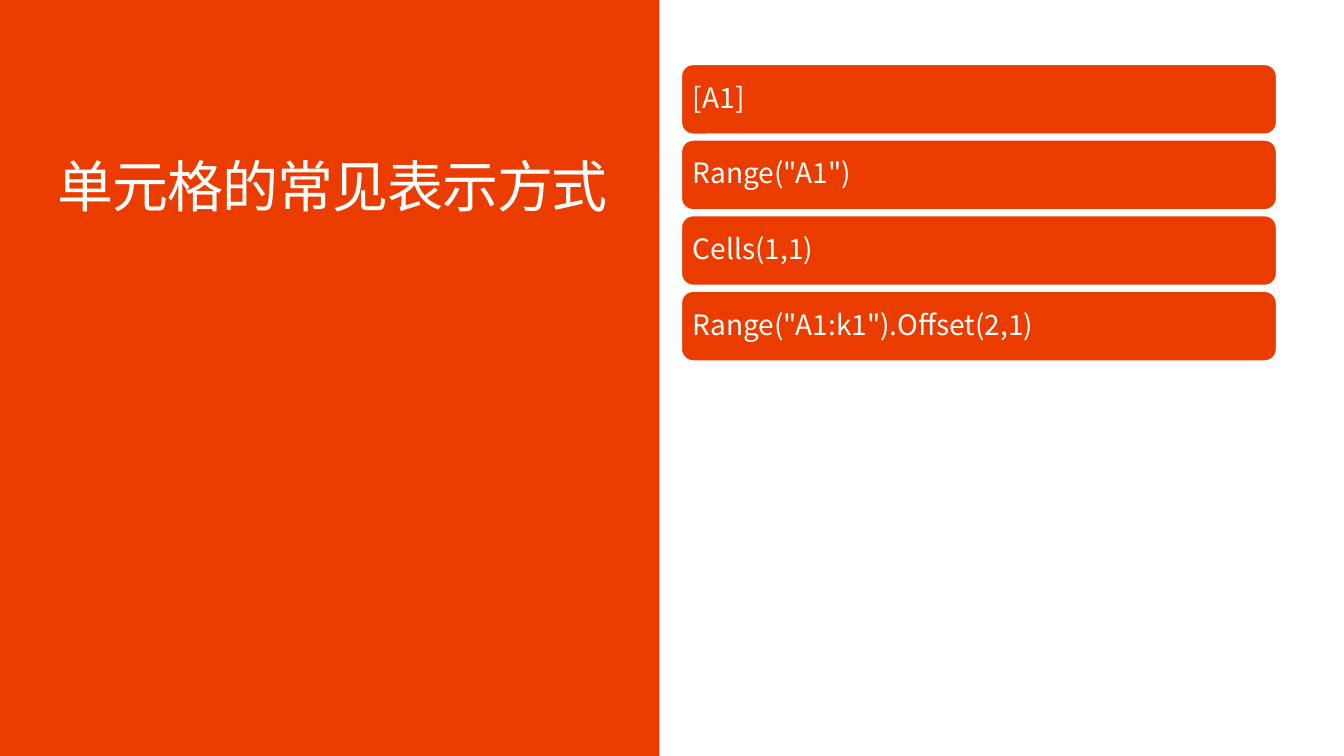
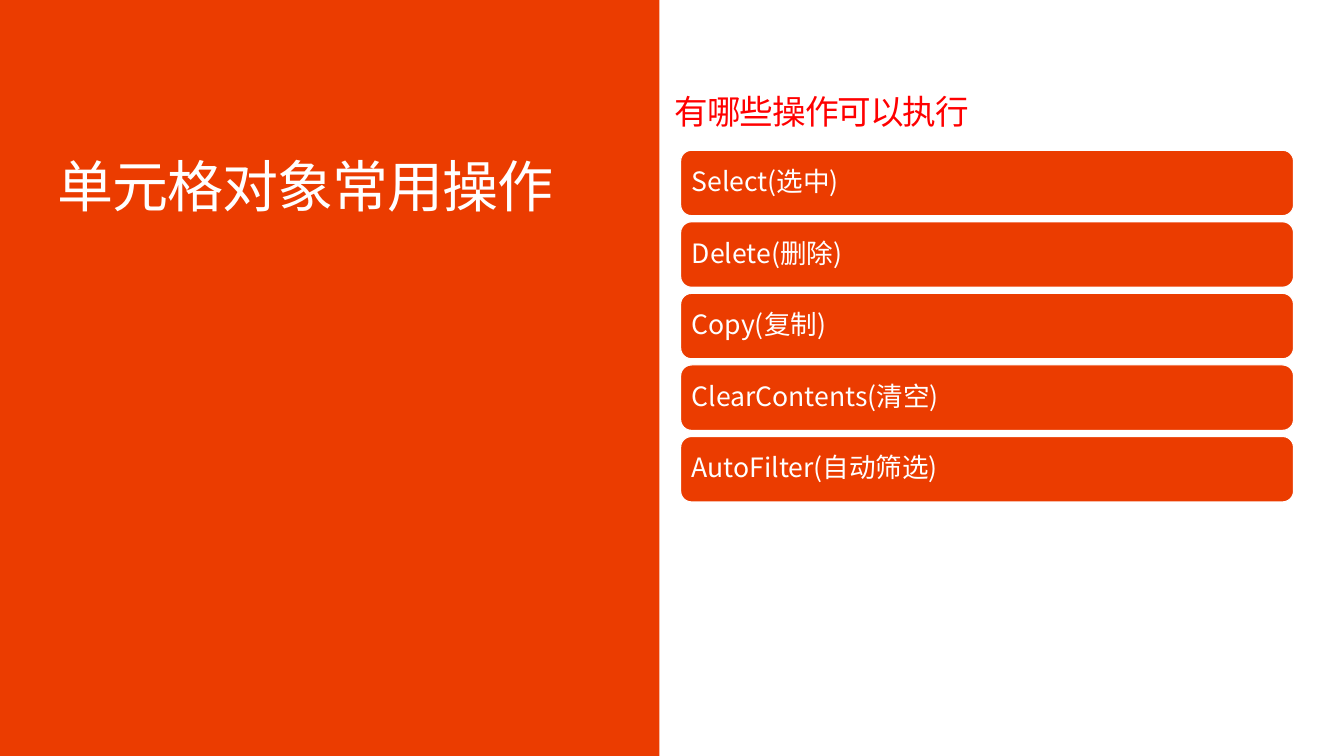
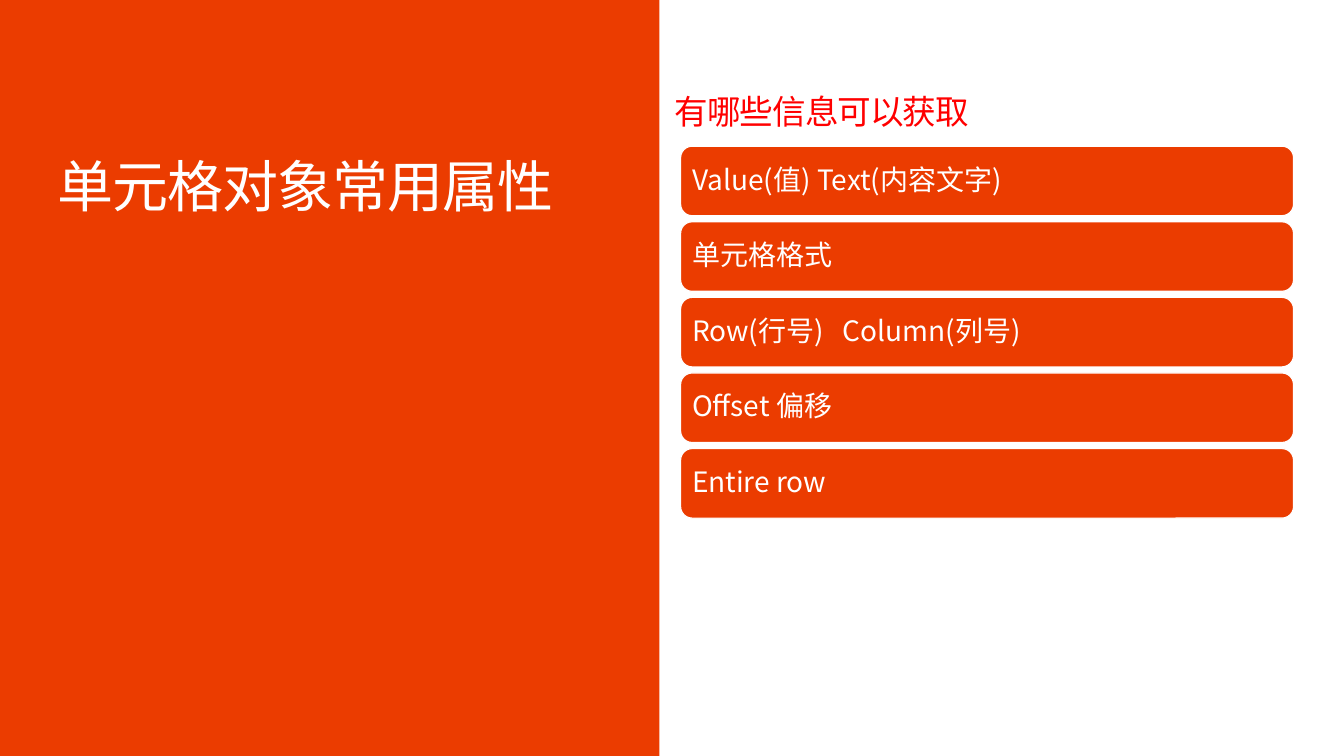
from lxml import etree
from pptx import Presentation
from pptx.dml.color import RGBColor
from pptx.enum.shapes import MSO_SHAPE
from pptx.enum.text import MSO_ANCHOR, MSO_AUTO_SIZE, PP_ALIGN
from pptx.oxml.ns import qn
from pptx.util import Inches, Pt

RECTANGLE = MSO_SHAPE.RECTANGLE
ROUNDED = MSO_SHAPE.ROUNDED_RECTANGLE
TOP = MSO_ANCHOR.TOP
MIDDLE = MSO_ANCHOR.MIDDLE
LEFT = PP_ALIGN.LEFT
NO_AUTOFIT = MSO_AUTO_SIZE.NONE

COLORS = {"accent": "EB3C00", "white": "FFFFFF", "heading": "FF0000"}
FONT = "Noto Sans CJK SC"
TITLE_SIZE = 40
HEADING_SIZE = 24
TIGHT_TRACKING = -0.7
TITLE_ONLY = 5

BAND_BOX = (-0.01, 0, 6.55, 7.5)
TITLE_BOX = (0.57, 1.58, 5.72, 1.82)
HEADING_BOX = (6.69, 0.9, 2.94, 0.4)
ROW_GAP = 0.06
ROW_INSET = 0.08

PAGES = [
    {
        "title": "单元格的常见表示方式",
        "heading": None,
        "rows": ["[A1]", 'Range("A1")', "Cells(1,1)", 'Range("A1:k1").Offset(2,1)'],
        "first_row_box": (6.76, 0.64, 5.9, 0.69),
        "row_size": 20,
    },
    {
        "title": "单元格对象常用操作",
        "heading": "有哪些操作可以执行",
        "rows": ["Select(选中)", "Delete(删除)", "Copy(复制)",
                 "ClearContents(清空)", "AutoFilter(自动筛选)"],
        "first_row_box": (6.75, 1.49, 6.08, 0.65),
        "row_size": 19,
    },
    {
        "title": "单元格对象常用属性",
        "heading": "有哪些信息可以获取",
        "rows": ["Value(值) Text(内容文字)", "单元格格式", "Row(行号)   Column(列号)",
                 "Offset 偏移", "Entire row"],
        "first_row_box": (6.75, 1.45, 6.08, 0.69),
        "row_size": 20,
    },
]


def rgb(name):
    """Return the named palette colour."""
    return RGBColor.from_string(COLORS[name])


def lengths(box):
    """Convert a box given in inches."""
    return [Inches(value) for value in box]


def write_text(shape, text, size, color="white", anchor=TOP, inset=0,
               line_spacing=0.9, tracking=0, wrap=True):
    """Write one formatted line of text into a shape."""
    frame = shape.text_frame
    frame.auto_size = NO_AUTOFIT
    frame.word_wrap = wrap
    frame.vertical_anchor = anchor
    frame.margin_left = frame.margin_right = Inches(inset)
    frame.margin_top = frame.margin_bottom = Inches(inset)
    para = frame.paragraphs[0]
    para.alignment = LEFT
    para.line_spacing = line_spacing
    span = para.add_run()
    span.text = text
    span.font.size = Pt(size)
    span.font.color.rgb = rgb(color)
    span.font.name = FONT
    properties = span.font._element
    properties.set("spc", str(round(tracking * 100)))
    etree.SubElement(properties, qn("a:ea"), typeface=FONT)


def add_filled(page, preset, box):
    """Add an accent-filled shape without line or shadow."""
    shape = page.shapes.add_shape(preset, *lengths(box))
    shape.shadow.inherit = False
    shape.fill.solid()
    shape.fill.fore_color.rgb = rgb("accent")
    shape.line.fill.background()
    return shape


def add_title_panel(page, text, band_box, title_box):
    """Fill the title placeholder and lay the coloured band behind it."""
    title = page.shapes.title
    title.left, title.top, title.width, title.height = lengths(title_box)
    write_text(title, text, TITLE_SIZE, tracking=TIGHT_TRACKING)
    band = add_filled(page, RECTANGLE, band_box)
    title.element.addprevious(band.element)


def add_heading(page, text, box):
    """Add the red heading above the rows."""
    heading = page.shapes.add_textbox(*lengths(box))
    write_text(heading, text, HEADING_SIZE, color="heading", line_spacing=1,
               tracking=TIGHT_TRACKING, wrap=False)


def add_rows(page, rows, first_box, size):
    """Stack rounded rows downward from the box of the first one."""
    left, top, width, height = first_box
    pitch = height + ROW_GAP
    for index, text in enumerate(rows):
        row = add_filled(page, ROUNDED, (left, top + index * pitch, width, height))
        row.line.color.rgb = rgb("white")
        row.line.width = Pt(0.85)
        write_text(row, text, size, anchor=MIDDLE, inset=ROW_INSET)


def add_page(deck, content):
    """Add one slide with its title panel, optional heading and rows."""
    page = deck.slides.add_slide(deck.slide_layouts[TITLE_ONLY])
    add_title_panel(page, content["title"], BAND_BOX, TITLE_BOX)
    if content["heading"]:
        add_heading(page, content["heading"], HEADING_BOX)
    add_rows(page, content["rows"], content["first_row_box"], content["row_size"])


def main():
    """Build and save the deck."""
    deck = Presentation()
    deck.slide_width, deck.slide_height = Inches(13.33), Inches(7.5)
    for content in PAGES:
        add_page(deck, content)
    deck.save("out.pptx")


if __name__ == "__main__":
    main()
